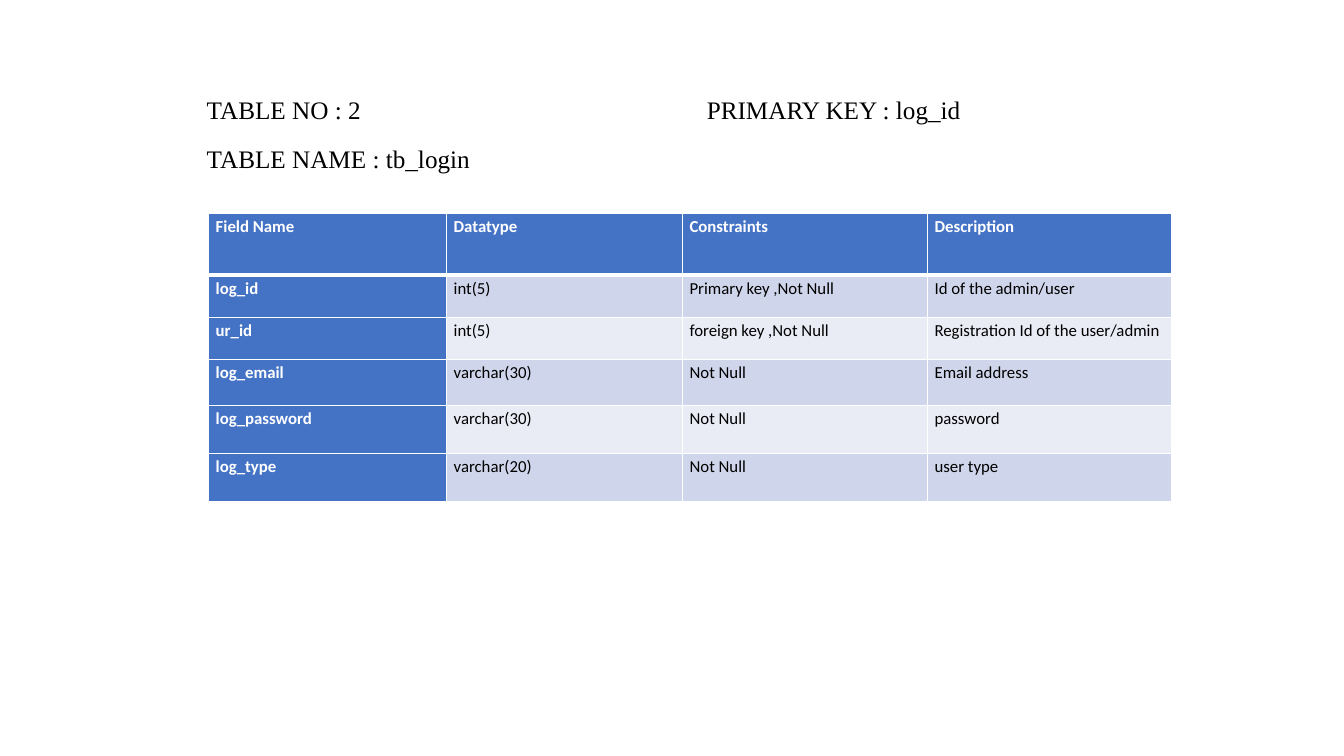
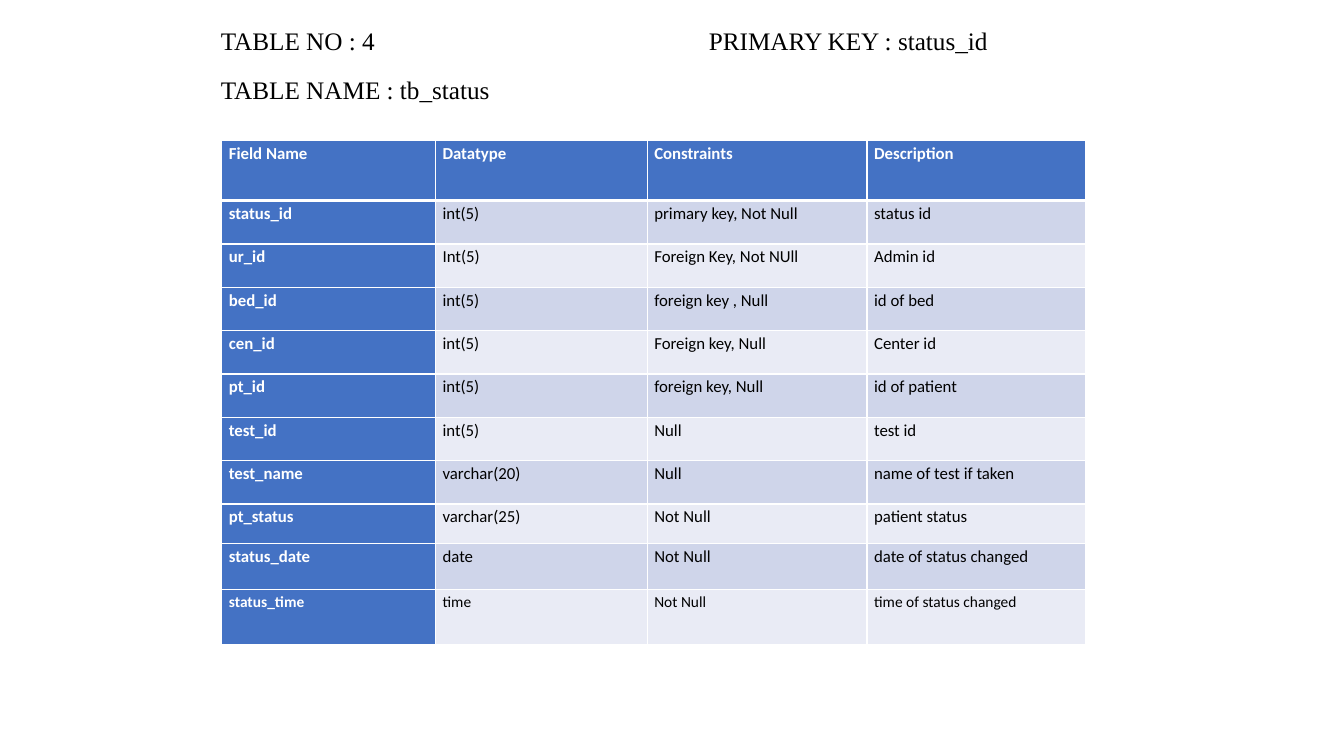
from lxml import etree
from pptx import Presentation
from pptx.dml.color import RGBColor
from pptx.enum.text import MSO_ANCHOR, MSO_AUTO_SIZE, PP_ALIGN
from pptx.oxml.ns import qn
from pptx.util import Inches, Pt

TOP = MSO_ANCHOR.TOP
LEFT = PP_ALIGN.LEFT
NO_FIT = MSO_AUTO_SIZE.NONE

BLUE = RGBColor(0x44, 0x72, 0xC4)
BANDS = RGBColor(0xCF, 0xD5, 0xEA), RGBColor(0xE9, 0xEB, 0xF5)
WHITE = RGBColor(0xFF, 0xFF, 0xFF)
BLACK = RGBColor(0, 0, 0)

# Content
HEAD = ("Field Name", "Datatype", "Constraints", "Description")
TABLES = [
    {
        "no": 2, "name": "tb_login", "key": "log_id",
        "title": (1.95, 0.84, 8.12, 0.92), "tab": 4.96,
        "corner": (2.07, 2.12),
        "cols": (2.36, 2.34, 2.43, 2.42),
        "heights": [0.61, 0.42, 0.42, 0.45, 0.48, 0.48],
        "sizes": [12] * 6,
        "rows": [
            ("log_id", "int(5)", "Primary key ,Not Null", "Id of the admin/user"),
            ("ur_id", "int(5)", "foreign key ,Not Null",
             "Registration Id of the user/admin"),
            ("log_email", "varchar(30)", "Not Null", "Email address"),
            ("log_password", "varchar(30)", "Not Null", "password"),
            ("log_type", "varchar(20)", "Not Null", "user type"),
        ],
    },
    {
        "no": 4, "name": "tb_status", "key": "status_id",
        "title": (2.09, 0.16, 8.42, 0.92), "tab": 4.84,
        "corner": (2.2, 1.39),
        "cols": (2.12, 2.1, 2.18, 2.17),
        "heights": [0.6] + [0.43] * 7 + [0.39, 0.46, 0.55],
        "sizes": [12] * 10 + [11],
        "rows": [
            ("status_id", "int(5)", "primary key, Not Null", "status id"),
            ("ur_id", "Int(5)", "Foreign Key, Not NUll", "Admin id"),
            ("bed_id", "int(5)", "foreign key , Null", "id of bed"),
            ("cen_id", "int(5)", "Foreign key, Null", "Center id"),
            ("pt_id", "int(5)", "foreign key, Null", "id of patient"),
            ("test_id", "int(5)", "Null", "test id"),
            ("test_name", "varchar(20)", "Null", "name of test if taken"),
            ("pt_status", "varchar(25)", "Not Null", "patient status"),
            ("status_date", "date", "Not Null", "date of status changed"),
            ("status_time", "time", "Not Null", "time of status changed"),
        ],
    },
]


def write(frame, *lines, size=12, font="Calibri", color=BLACK, bold=False, tab=None):
    """Fill a text frame with one paragraph per line."""
    for i, line in enumerate(lines):
        para = frame.add_paragraph() if i else frame.paragraphs[0]
        para.alignment = LEFT
        para.line_spacing = 1.15
        para.space_after = Pt(10)
        if tab:
            stops = etree.SubElement(para._p.get_or_add_pPr(), qn("a:tabLst"))
            etree.SubElement(stops, qn("a:tab"), pos=str(Inches(tab)), algn="l")
        run = para.add_run()
        run.text = line
        run.font.size = Pt(size)
        run.font.name = font
        run.font.bold = bold
        run.font.color.rgb = color


def edge(cell, side, width):
    """Draw one white cell border."""
    line = etree.SubElement(cell._tc.get_or_add_tcPr(), qn("a:ln" + side),
                            w=str(Pt(width)))
    fill = etree.SubElement(line, qn("a:solidFill"))
    etree.SubElement(fill, qn("a:srgbClr"), val=str(WHITE))


def add_title(slide, data):
    title = slide.shapes.title
    title.left, title.top, title.width, title.height = map(Inches, data["title"])
    frame = title.text_frame
    frame.word_wrap = True
    frame.auto_size = NO_FIT
    frame.vertical_anchor = TOP
    write(frame,
          f"TABLE NO : {data['no']}\tPRIMARY KEY : {data['key']}",
          f"TABLE NAME : {data['name']}",
          size=18, font="Times New Roman", tab=data["tab"])


def add_grid(slide, data):
    rows = [HEAD] + data["rows"]
    cols, heights = data["cols"], data["heights"]
    box = (*data["corner"], sum(cols), sum(heights))
    table = slide.shapes.add_table(len(rows), len(cols), *map(Inches, box)).table
    table.horz_banding = False
    for col, width in zip(table.columns, cols):
        col.width = Inches(width)
    for r, (row, texts) in enumerate(zip(table.rows, rows)):
        row.height = Inches(heights[r])
        for c, (cell, text) in enumerate(zip(row.cells, texts)):
            cell.margin_left = cell.margin_right = Inches(0.07)
            cell.margin_top = cell.margin_bottom = 0
            cell.vertical_anchor = TOP
            # A thick rule parts the header from the body
            for side, thick in (("L", False), ("R", False), ("T", r == 1), ("B", r == 0)):
                edge(cell, side, 3 if thick else 1)
            lead = r == 0 or c == 0
            cell.fill.solid()
            cell.fill.fore_color.rgb = BLUE if lead else BANDS[(r - 1) % 2]
            write(cell.text_frame, text, size=data["sizes"][r],
                  color=WHITE if lead else BLACK, bold=lead)


def main():
    deck = Presentation()
    deck.slide_width, deck.slide_height = Inches(13.33), Inches(7.5)
    layout = deck.slide_layouts.get_by_name("Title Only")
    for data in TABLES:
        slide = deck.slides.add_slide(layout)
        add_title(slide, data)
        add_grid(slide, data)
    deck.save("out.pptx")


if __name__ == "__main__":
    main()
